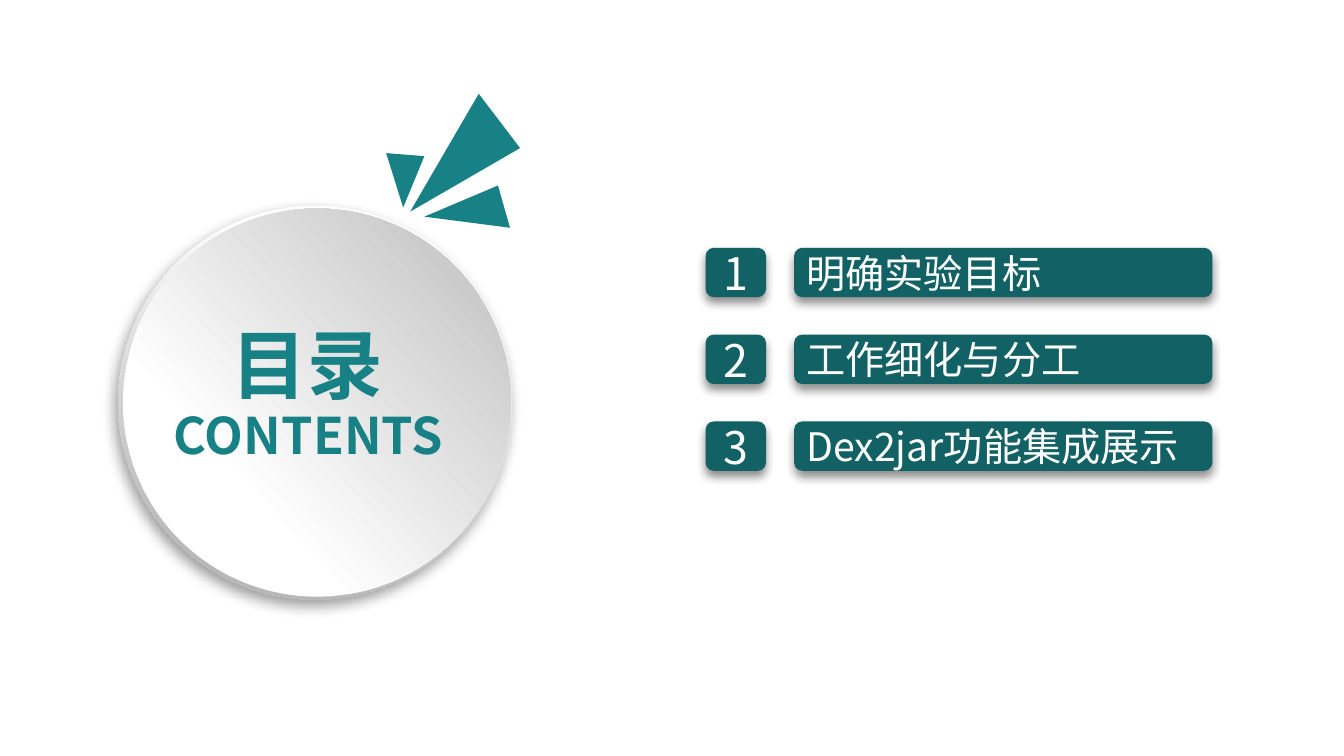
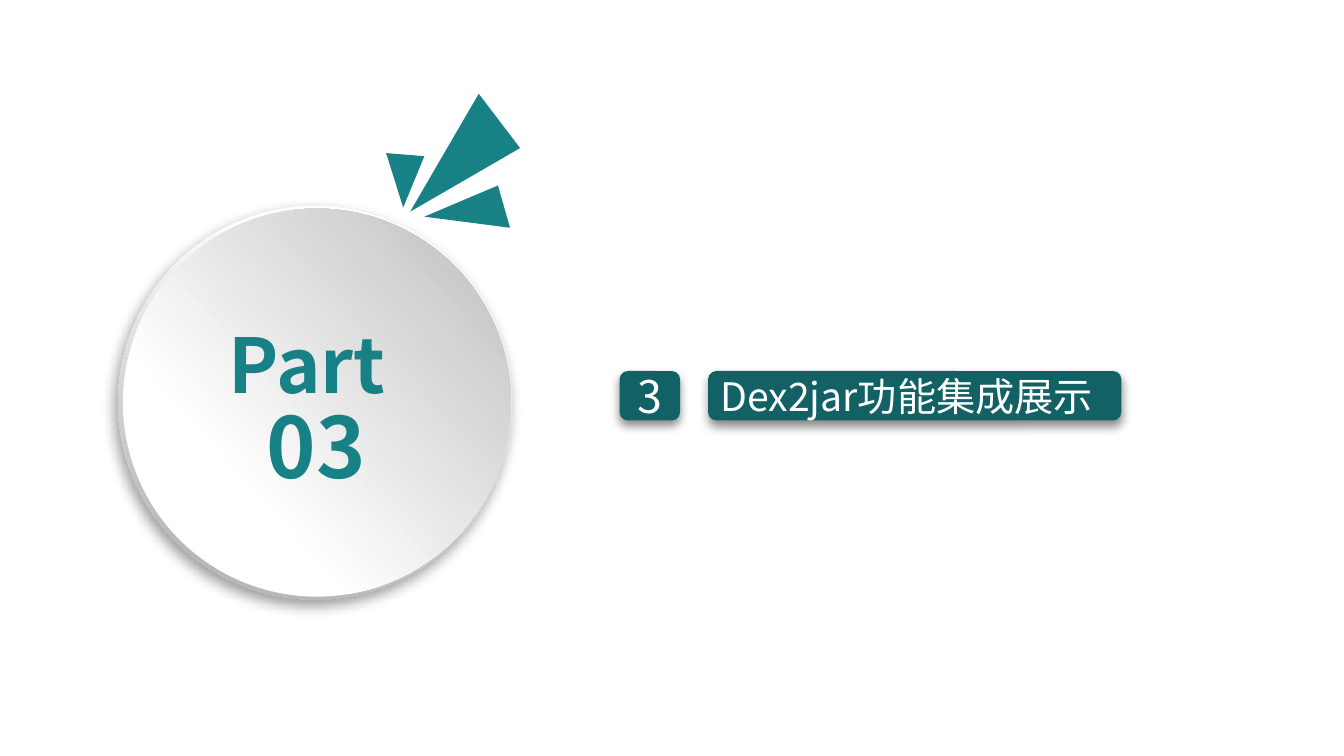
from dataclasses import dataclass

from lxml import etree
from pptx import Presentation
from pptx.dml.color import RGBColor
from pptx.enum.shapes import MSO_SHAPE
from pptx.enum.text import MSO_ANCHOR, MSO_AUTO_SIZE, PP_ALIGN
from pptx.oxml.ns import qn
from pptx.util import Pt

OVAL = MSO_SHAPE.OVAL
ROUNDED = MSO_SHAPE.ROUNDED_RECTANGLE
TOP, MIDDLE = MSO_ANCHOR.TOP, MSO_ANCHOR.MIDDLE
LEFT, CENTER = PP_ALIGN.LEFT, PP_ALIGN.CENTER
FIXED = MSO_AUTO_SIZE.NONE
TITLE_ONLY = 5


@dataclass(frozen=True)
class Theme:
    font: str = "Noto Sans CJK SC"
    accent: str = "188186"
    bar: str = "126165"
    white: str = "FFFFFF"
    rim_gray: str = "B8B8B8"
    disc_gray: str = "BFBFBF"
    shadow: str = "000000"
    title_size: int = 54
    contents_size: int = 36
    part_size: int = 60
    number_size: int = 32
    label_size: int = 28


THEME = Theme()

SLIDES = [
    {
        "title": "目录",
        "subtitle": ("CONTENTS", THEME.contents_size, (103, 285, 234.7, 51)),
        "topics": [("1", "明确实验目标"), ("2", "工作细化与分工"), ("3", "Dex2jar功能集成展示")],
        "topics_at": (504, 177),
        "label_width": 298.8,
    },
    {
        "title": "Part",
        "subtitle": ("03", THEME.part_size, (108.7, 278, 234.7, 80)),
        "topics": [("3", "Dex2jar功能集成展示")],
        "topics_at": (442.6, 265),
        "label_width": 295.2,
    },
]

TITLE_BOX = (102.2, 223.2, 234.7, 72.7)
RIM = ((84.4, 147, 281.3, 281.3), THEME.rim_gray, (0.17, 0.88), 253)
DISC = ((87.8, 149, 277.2, 277.2), THEME.disc_gray, (0.29, 0.98), 42)
RIM_SHADOW = {"opacity": 39, "blur": 10, "distance": 5, "angle": 123}
BAR_SHADOW = {"opacity": 46, "blur": 7, "distance": 4, "angle": 90}
RAYS = [
    [(293, 151.2), (342, 67), (371.5, 105.8)],
    [(303.1, 154.8), (355.7, 132.5), (364.3, 162.7)],
    [(288, 148.3), (275.8, 109.4), (303.1, 111.6)],
]
TOPIC_PITCH = 62
BAR_HEIGHT = 35.3
BADGE_WIDTH = 43.2
LABEL_OFFSET = 63.2


def color(value):
    return RGBColor.from_string(value)


def points(box):
    return [Pt(value) for value in box]


def write(shape, text, size, ink, bold=False, align=CENTER, anchor=TOP):
    frame = shape.text_frame
    frame.text = text
    frame.word_wrap = True
    frame.auto_size = FIXED
    frame.vertical_anchor = anchor
    paragraph = frame.paragraphs[0]
    paragraph.alignment = align
    for run in paragraph.runs:
        run.font.size = Pt(size)
        run.font.bold = bold
        run.font.color.rgb = color(ink)
        run.font.name = THEME.font
        etree.SubElement(run.font._element, qn("a:ea"), typeface=THEME.font)


def cast_shadow(shape, opacity, blur, distance, angle):
    effects = shape._element.spPr.find(qn("a:effectLst"))
    shadow = etree.SubElement(
        effects, qn("a:outerShdw"), blurRad=str(Pt(blur)), dist=str(Pt(distance)),
        dir=str(angle * 60000), algn="ctr", rotWithShape="0",
    )
    tone = etree.SubElement(shadow, qn("a:srgbClr"), val=THEME.shadow)
    etree.SubElement(tone, qn("a:alpha"), val=str(opacity * 1000))


def plain(shape):
    shape.shadow.inherit = False
    shape.line.fill.background()
    return shape


def fill_solid(shape, value):
    shape.fill.solid()
    shape.fill.fore_color.rgb = color(value)


def add_circle(slide, box, gray, positions, angle):
    circle = plain(slide.shapes.add_shape(OVAL, *points(box)))
    circle.fill.gradient()
    circle.fill.gradient_angle = angle
    for stop, position, value in zip(circle.fill.gradient_stops, positions, (THEME.white, gray)):
        stop.position = position
        stop.color.rgb = color(value)
    return circle


def add_emblem(slide):
    cast_shadow(add_circle(slide, *RIM), **RIM_SHADOW)
    add_circle(slide, *DISC)
    for start, *corners in RAYS:
        builder = slide.shapes.build_freeform(*points(start), scale=1.0)
        builder.add_line_segments([points(corner) for corner in corners], close=True)
        fill_solid(plain(builder.convert_to_shape()), THEME.accent)


def add_bar(slide, left, top, width):
    bar = plain(slide.shapes.add_shape(ROUNDED, *points((left, top, width, BAR_HEIGHT))))
    fill_solid(bar, THEME.bar)
    cast_shadow(bar, **BAR_SHADOW)
    return bar


def add_topics(slide, topics, origin, label_width):
    left, first_top = origin
    for index, (number, topic) in enumerate(topics):
        top = first_top + index * TOPIC_PITCH
        badge = add_bar(slide, left, top, BADGE_WIDTH)
        badge.text_frame.margin_left = badge.text_frame.margin_right = 0
        write(badge, number, THEME.number_size, THEME.white, anchor=MIDDLE)
        label = add_bar(slide, left + LABEL_OFFSET, top, label_width)
        write(label, topic, THEME.label_size, THEME.white, align=LEFT, anchor=MIDDLE)


def add_heading(slide, title_text, subtitle):
    title = slide.shapes.title
    title.left, title.top, title.width, title.height = points(TITLE_BOX)
    write(title, title_text, THEME.title_size, THEME.accent, bold=True)
    text, size, box = subtitle
    write(slide.shapes.add_textbox(*points(box)), text, size, THEME.accent, bold=True)
    title._element.getparent().append(title._element)


presentation = Presentation()
presentation.slide_width, presentation.slide_height = Pt(960), Pt(540)
for content in SLIDES:
    slide = presentation.slides.add_slide(presentation.slide_layouts[TITLE_ONLY])
    add_emblem(slide)
    add_heading(slide, content["title"], content["subtitle"])
    add_topics(slide, content["topics"], content["topics_at"], content["label_width"])
presentation.save("out.pptx")
